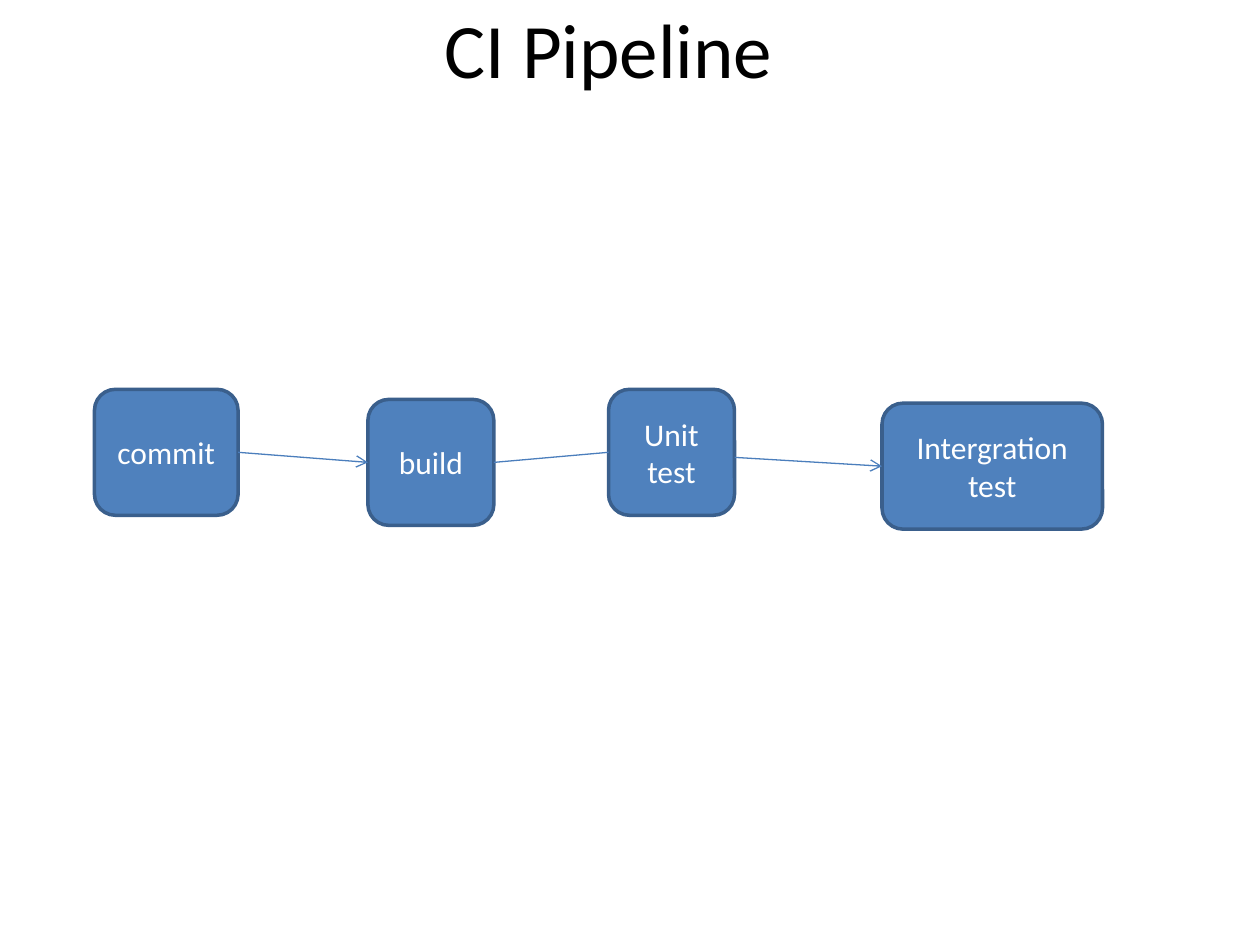
from lxml.etree import SubElement
from pptx import Presentation
from pptx.dml.color import RGBColor
from pptx.enum.shapes import MSO_CONNECTOR, MSO_SHAPE
from pptx.enum.text import MSO_ANCHOR, PP_ALIGN
from pptx.oxml.ns import qn
from pptx.util import Inches, Pt

COLORS = {
    "title": "000000",
    "stage": "4F81BD",
    "outline": "3A5F8C",
    "label": "FFFFFF",
    "link": "4B7EBC",
}
STAGE_HEIGHT = 1
STAGES = [
    ("commit", 0.75, 3.09, 1.14),
    ("build", 2.92, 3.17, 1),
    ("Unit test", 4.83, 3.09, 1),
    ("Intergration test", 7, 3.2, 1.75),
]
LINKS = [
    (1.89, 3.59, 2.92, 3.67, True),
    (3.92, 3.67, 4.83, 3.59, False),
    (5.83, 3.63, 7, 3.7, True),
]


def color(name):
    return RGBColor.from_string(COLORS[name])


def write_text(shape, text, size, color_name):
    frame = shape.text_frame
    frame.text = text
    frame.word_wrap = True
    frame.vertical_anchor = MSO_ANCHOR.MIDDLE
    paragraph = frame.paragraphs[0]
    paragraph.alignment = PP_ALIGN.CENTER
    paragraph.font.name = "Calibri"
    paragraph.font.size = Pt(size)
    paragraph.font.color.rgb = color(color_name)


def set_title(slide, text):
    title = slide.shapes.title
    title.left, title.top = Inches(0.33), Inches(-0.33)
    title.width, title.height = Inches(9), Inches(1.42)
    write_text(title, text, 44, "title")


def add_stage(slide, text, left, top, width):
    stage = slide.shapes.add_shape(
        MSO_SHAPE.ROUNDED_RECTANGLE,
        Inches(left), Inches(top), Inches(width), Inches(STAGE_HEIGHT),
    )
    stage.shadow.inherit = False
    stage.fill.solid()
    stage.fill.fore_color.rgb = color("stage")
    stage.line.color.rgb = color("outline")
    stage.line.width = Pt(2)
    write_text(stage, text, 18, "label")


def add_link(slide, start_x, start_y, end_x, end_y, has_arrow):
    link = slide.shapes.add_connector(
        MSO_CONNECTOR.STRAIGHT,
        Inches(start_x), Inches(start_y), Inches(end_x), Inches(end_y),
    )
    link.line.color.rgb = color("link")
    link.line.width = Pt(0.75)
    properties = link._element.spPr
    if has_arrow:
        SubElement(properties.find(qn("a:ln")), qn("a:tailEnd"), type="arrow")
    SubElement(properties, qn("a:effectLst"))


def main():
    presentation = Presentation()
    presentation.slide_width = Inches(10)
    presentation.slide_height = Inches(7.5)
    slide = presentation.slides.add_slide(presentation.slide_layouts[5])
    set_title(slide, "CI Pipeline")
    for stage in STAGES:
        add_stage(slide, *stage)
    for link in LINKS:
        add_link(slide, *link)
    presentation.save("out.pptx")


if __name__ == "__main__":
    main()
